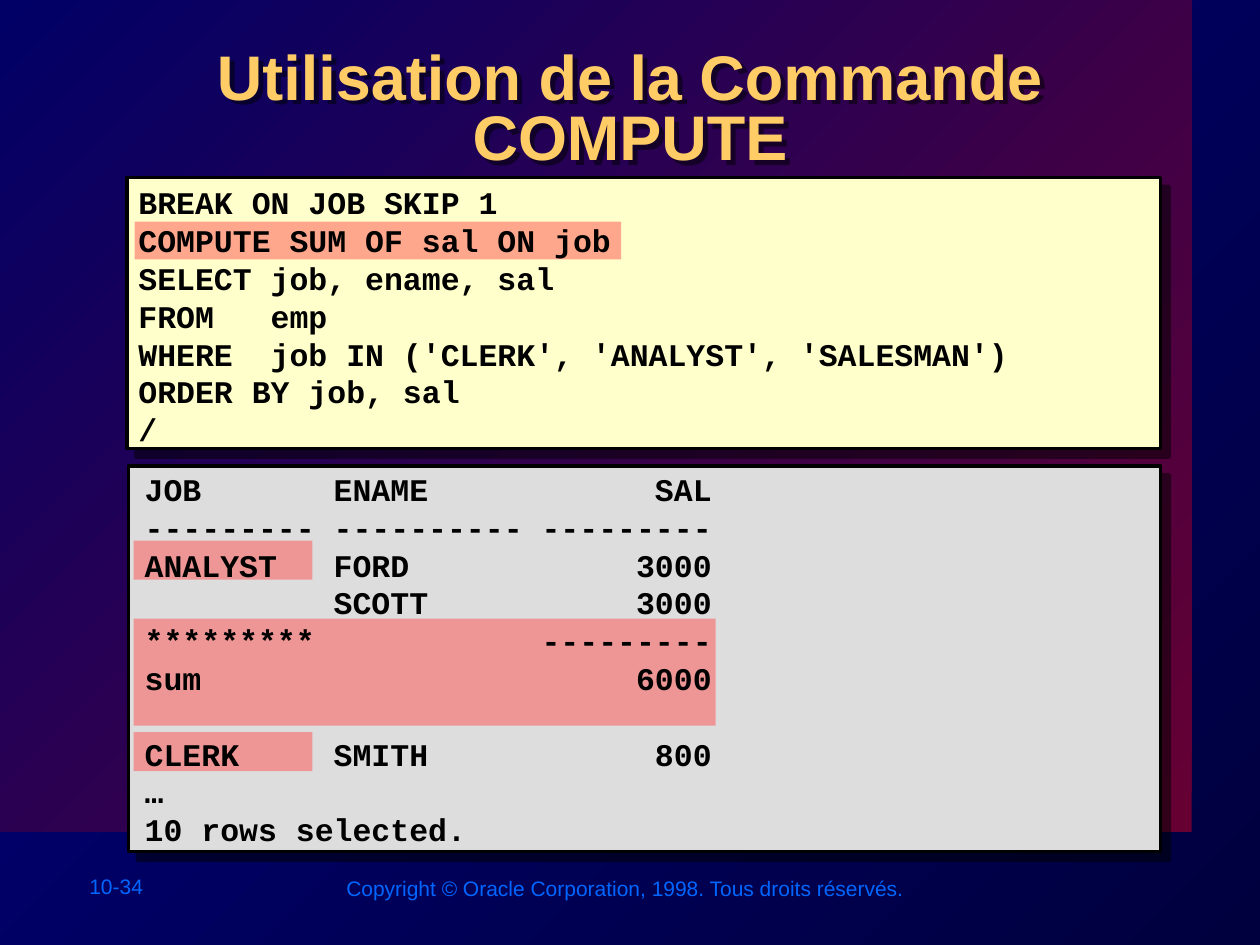
"""Build the slide that explains the COMPUTE command with its query and its result."""
from dataclasses import dataclass

from pptx import Presentation
from pptx.dml.color import RGBColor
from pptx.dml.fill import FillFormat
from pptx.enum.shapes import MSO_SHAPE
from pptx.enum.text import MSO_ANCHOR as Anchor, PP_ALIGN as Align
from pptx.oxml.ns import qn
from pptx.shapes.autoshape import Shape
from pptx.slide import Slide
from pptx.util import Pt
from lxml.etree import SubElement

COLORS = {
    "night": "00003F", "navy": "000080", "wine": "660033", "indigo": "000066",
    "footer": "0066FF", "title": "FFCC66", "ink": "000000",
    "query": "FFFFCC", "result": "DDDDDD", "highlight": "FF5050",
}
CODE_LINE = 21.6

QUERY = [
    "BREAK ON JOB SKIP 1",
    "COMPUTE SUM OF sal ON job",
    "SELECT job, ename, sal",
    "FROM   emp",
    "WHERE  job IN ('CLERK', 'ANALYST', 'SALESMAN')",
    "ORDER BY job, sal",
    "/",
]
RESULT = [
    "JOB       ENAME            SAL",
    "--------- ---------- ---------",
    "ANALYST   FORD            3000",
    "          SCOTT           3000",
    "*********            ---------",
    "sum                       6000",
    "CLERK     SMITH            800",
    "…",
    "10 rows selected.",
]
GROUP_START = 6


@dataclass
class Box:
    left: float
    top: float
    width: float
    height: float

    def lengths(self) -> tuple[Pt, Pt, Pt, Pt]:
        """Return the four lengths for python-pptx."""
        return Pt(self.left), Pt(self.top), Pt(self.width), Pt(self.height)


@dataclass
class TextStyle:
    font: str
    size: float
    color: str
    bold: bool = False
    align: Align = Align.LEFT
    anchor: Anchor = Anchor.TOP
    line_spacing: float = 1.0


FOOTER = TextStyle("Arial", 12, "footer")
TITLE = TextStyle("Arial", 36, "title", True, Align.CENTER, line_spacing=0.8)
QUERY_CODE = TextStyle("Courier New", 18, "ink", True, anchor=Anchor.MIDDLE)
RESULT_CODE = TextStyle("Courier New", 18, "ink", True)

PANELS = [
    (Box(73.5, 266.4, 589.7, 220.3), "result"),
    (Box(72.7, 101.5, 590.4, 154.8), "query"),
]
HIGHLIGHTS = [
    Box(77, 126.7, 278, 21.6),
    Box(76.3, 353.5, 332.6, 61.2),
    Box(76.3, 308.9, 102.2, 22.3),
    Box(76.3, 418.3, 102.2, 22.3),
]


def rgb(name: str) -> RGBColor:
    """Look up a named colour."""
    return RGBColor.from_string(COLORS[name])


def fill_gradient(fill: FillFormat, start: str, end: str) -> None:
    """Fill from the bottom right corner to the top left corner."""
    fill.gradient()
    fill.gradient_angle = 135
    for stop, name in zip(fill.gradient_stops, (start, end)):
        stop.color.rgb = rgb(name)


def add_shadow(shape: Shape, distance: float) -> None:
    """Cast a half-transparent shadow down to the right."""
    shape.shadow.inherit = False
    effects = shape._element.spPr.find(qn("a:effectLst"))
    shadow = SubElement(effects, qn("a:outerShdw"), dist=str(Pt(distance)),
                        dir="2700000", algn="ctr", rotWithShape="0")
    color = SubElement(shadow, qn("a:srgbClr"), val=COLORS["ink"])
    SubElement(color, qn("a:alpha"), val="50000")


def add_rectangle(slide: Slide, box: Box) -> Shape:
    """Add a rectangle without line or shadow."""
    shape = slide.shapes.add_shape(MSO_SHAPE.RECTANGLE, *box.lengths())
    shape.shadow.inherit = False
    shape.line.fill.background()
    return shape


def add_panel(slide: Slide, box: Box, color: str) -> None:
    """Add an outlined code panel with a shadow."""
    shape = add_rectangle(slide, box)
    shape.fill.solid()
    shape.fill.fore_color.rgb = rgb(color)
    shape.line.color.rgb = rgb("ink")
    shape.line.width = Pt(2)
    add_shadow(shape, 7.1)


def add_highlight(slide: Slide, box: Box) -> None:
    """Add a half-transparent marker."""
    shape = add_rectangle(slide, box)
    shape.fill.solid()
    shape.fill.fore_color.rgb = rgb("highlight")
    color = shape._element.spPr.find(qn("a:solidFill")).find(qn("a:srgbClr"))
    SubElement(color, qn("a:alpha"), val="50000")


def add_text(slide: Slide, box: Box, lines: list[str], style: TextStyle) -> Shape:
    """Add a text box with one paragraph for each line."""
    shape = slide.shapes.add_textbox(*box.lengths())
    frame = shape.text_frame
    frame.word_wrap = True
    frame.vertical_anchor = style.anchor
    frame.text = "\n".join(lines)
    for paragraph in frame.paragraphs:
        paragraph.alignment = style.align
        paragraph.line_spacing = style.line_spacing
        paragraph.font.name = style.font
        paragraph.font.size = Pt(style.size)
        paragraph.font.bold = style.bold
        paragraph.font.color.rgb = rgb(style.color)
    return shape


def main() -> None:
    """Build and save the presentation."""
    presentation = Presentation()
    presentation.slide_width, presentation.slide_height = Pt(720), Pt(540)
    slide = presentation.slides.add_slide(presentation.slide_layouts[6])
    fill_gradient(slide.background.fill, "night", "navy")
    backdrop = add_rectangle(slide, Box(0, 0, 681, 475.2))
    fill_gradient(backdrop.fill, "wine", "indigo")

    add_text(slide, Box(44, 495.4, 86.4, 21.6), ["10-34"], FOOTER)
    add_text(slide, Box(190.8, 496.8, 335.5, 21.6),
             ["Copyright © Oracle Corporation, 1998. Tous droits réservés."], FOOTER)
    title = add_text(slide, Box(72.7, 26, 574.6, 83.5),
                     ["Utilisation de la Commande COMPUTE"], TITLE)
    add_shadow(title, 4)

    for box, color in PANELS:
        add_panel(slide, box, color)
    for box in HIGHLIGHTS:
        add_highlight(slide, box)
    add_text(slide, Box(72, 115.2, 576, 130.3), QUERY, QUERY_CODE)
    result = add_text(slide, Box(75.6, 265, 345.6, 223.2), RESULT, RESULT_CODE)
    result.text_frame.paragraphs[GROUP_START].space_before = Pt(CODE_LINE)
    presentation.save("out.pptx")


if __name__ == "__main__":
    main()
